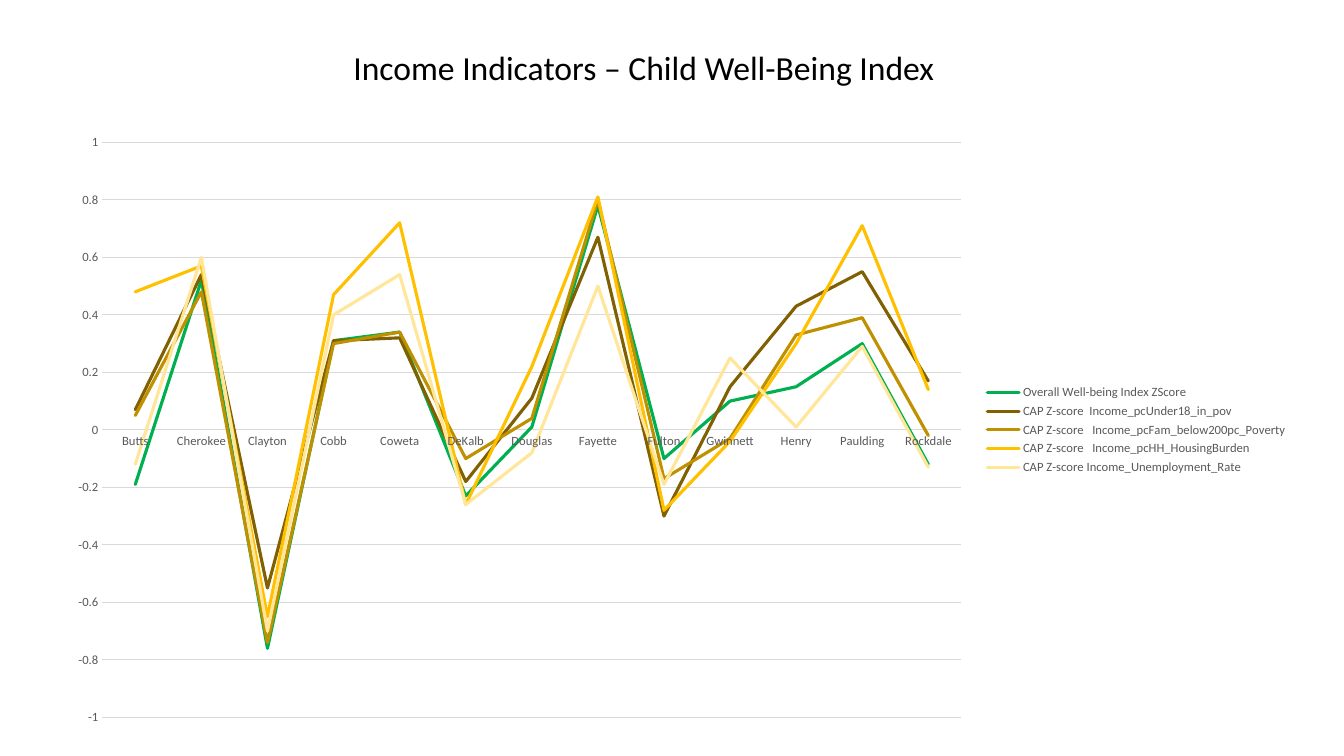
import pptx
import pptx.chart.data
import pptx.dml.color
import pptx.enum.chart
import pptx.enum.text
import pptx.oxml
import pptx.oxml.ns
import pptx.util

Inches = pptx.util.Inches
Pt = pptx.util.Pt
RGBColor = pptx.dml.color.RGBColor

BLACK = RGBColor(0x00, 0x00, 0x00)
LABEL_GREY = RGBColor(0x59, 0x59, 0x59)
GRID_GREY = RGBColor(0xD9, 0xD9, 0xD9)
GREEN = RGBColor(0x00, 0xB0, 0x50)
DARK_BROWN = RGBColor(0x80, 0x60, 0x00)
OCHRE = RGBColor(0xBF, 0x90, 0x00)
GOLD = RGBColor(0xFF, 0xC0, 0x00)
PALE_YELLOW = RGBColor(0xFF, 0xE6, 0x99)

COUNTIES = ["Butts", "Cherokee", "Clayton", "Cobb", "Coweta", "DeKalb", "Douglas",
            "Fayette", "Fulton", "Gwinnett", "Henry", "Paulding", "Rockdale"]

# Name, line colour and one value per county
INDICATORS = [
    ("Overall Well-being Index ZScore", GREEN,
     [-0.19, 0.52, -0.76, 0.31, 0.34, -0.23, 0.01, 0.78, -0.1, 0.1, 0.15, 0.3, -0.12]),
    ("CAP Z-score  Income_pcUnder18_in_pov", DARK_BROWN,
     [0.07, 0.54, -0.55, 0.31, 0.32, -0.18, 0.11, 0.67, -0.3, 0.15, 0.43, 0.55, 0.17]),
    ("CAP Z-score   Income_pcFam_below200pc_Poverty", OCHRE,
     [0.05, 0.48, -0.74, 0.3, 0.34, -0.1, 0.04, 0.8, -0.17, -0.03, 0.33, 0.39, -0.02]),
    ("CAP Z-score   Income_pcHH_HousingBurden", GOLD,
     [0.48, 0.57, -0.65, 0.47, 0.72, -0.26, 0.22, 0.81, -0.28, -0.04, 0.3, 0.71, 0.14]),
    ("CAP Z-score Income_Unemployment_Rate", PALE_YELLOW,
     [-0.12, 0.6, -0.7, 0.4, 0.54, -0.26, -0.08, 0.5, -0.19, 0.25, 0.01, 0.29, -0.13]),
]


class Slide:
    """Holds the page and its text style."""

    def __init__(self, page, font_name):
        self.page = page
        self.font_name = font_name

    def style_font(self, font, size, color):
        font.name = self.font_name
        font.size = Pt(size)
        font.color.rgb = color

    def title(self, text, left, top, width, height):
        box = self.page.shapes.add_textbox(
            Inches(left), Inches(top), Inches(width), Inches(height))
        frame = box.text_frame
        frame.word_wrap = False
        frame.auto_size = pptx.enum.text.MSO_AUTO_SIZE.SHAPE_TO_FIT_TEXT
        para = frame.paragraphs[0]
        para.alignment = pptx.enum.text.PP_ALIGN.CENTER
        span = para.add_run()
        span.text = text
        self.style_font(span.font, 24, BLACK)

    def line_chart(self, categories, indicators, left, top, width, height):
        data = pptx.chart.data.CategoryChartData()
        data.categories = categories
        for name, _, values in indicators:
            data.add_series(name, values)
        chart = self.page.shapes.add_chart(
            pptx.enum.chart.XL_CHART_TYPE.LINE,
            Inches(left), Inches(top), Inches(width), Inches(height), data).chart
        chart.has_title = False
        self.style_font(chart.font, 10, BLACK)
        chart.plots[0].vary_by_categories = False

        for series, (_, color, _) in zip(chart.plots[0].series, indicators):
            series.smooth = False
            series.marker.style = pptx.enum.chart.XL_MARKER_STYLE.NONE
            line = series.format.line
            line.color.rgb = color
            line.width = Pt(2.25)
            series.format.line._get_or_add_ln().set("cap", "rnd")

        self.style_axes(chart)
        self.style_legend(chart)
        return chart

    def style_axes(self, chart):
        for axis in (chart.category_axis, chart.value_axis):
            axis.major_tick_mark = pptx.enum.chart.XL_TICK_MARK.NONE
            axis.minor_tick_mark = pptx.enum.chart.XL_TICK_MARK.NONE
            self.style_font(axis.tick_labels.font, 9, LABEL_GREY)
        values = chart.value_axis
        values.minimum_scale, values.maximum_scale, values.major_unit = -1, 1, 0.2
        values.format.line.fill.background()
        values.has_major_gridlines = True
        for line in (chart.category_axis.format.line, values.major_gridlines.format.line):
            line.color.rgb = GRID_GREY
            line.width = Pt(0.75)

    def style_legend(self, chart):
        chart.has_legend = True
        chart.legend.position = pptx.enum.chart.XL_LEGEND_POSITION.RIGHT
        chart.legend.include_in_layout = False
        self.style_font(chart.legend.font, 9, LABEL_GREY)

    def place_plot(self, chart, left, top, width, height):
        """Places the inner plot area, in fractions of the chart."""
        area = chart.plots[0]._element.getparent()
        for layout in area.findall(pptx.oxml.ns.qn("c:layout")):
            area.remove(layout)
        area.insert(0, pptx.oxml.parse_xml(
            f'<c:layout {pptx.oxml.ns.nsdecls("c")}><c:manualLayout>'
            '<c:layoutTarget val="inner"/><c:xMode val="edge"/><c:yMode val="edge"/>'
            f'<c:x val="{left}"/><c:y val="{top}"/><c:w val="{width}"/><c:h val="{height}"/>'
            '</c:manualLayout></c:layout>'))


def main():
    deck = pptx.Presentation()
    deck.slide_width = Inches(13.33)
    deck.slide_height = Inches(7.5)
    slide = Slide(deck.slides.add_slide(deck.slide_layouts[6]), "Calibri")

    # Title
    slide.title("Income Indicators – Child Well-Being Index", 3.38, 0.42, 6.01, 0.5)

    # Indicators by county
    chart = slide.line_chart(COUNTIES, INDICATORS, 0.52, 1.23, 12.35, 6.07)
    slide.place_plot(chart, 0.04, 0.03, 0.69, 0.94)

    deck.save("out.pptx")


if __name__ == "__main__":
    main()
